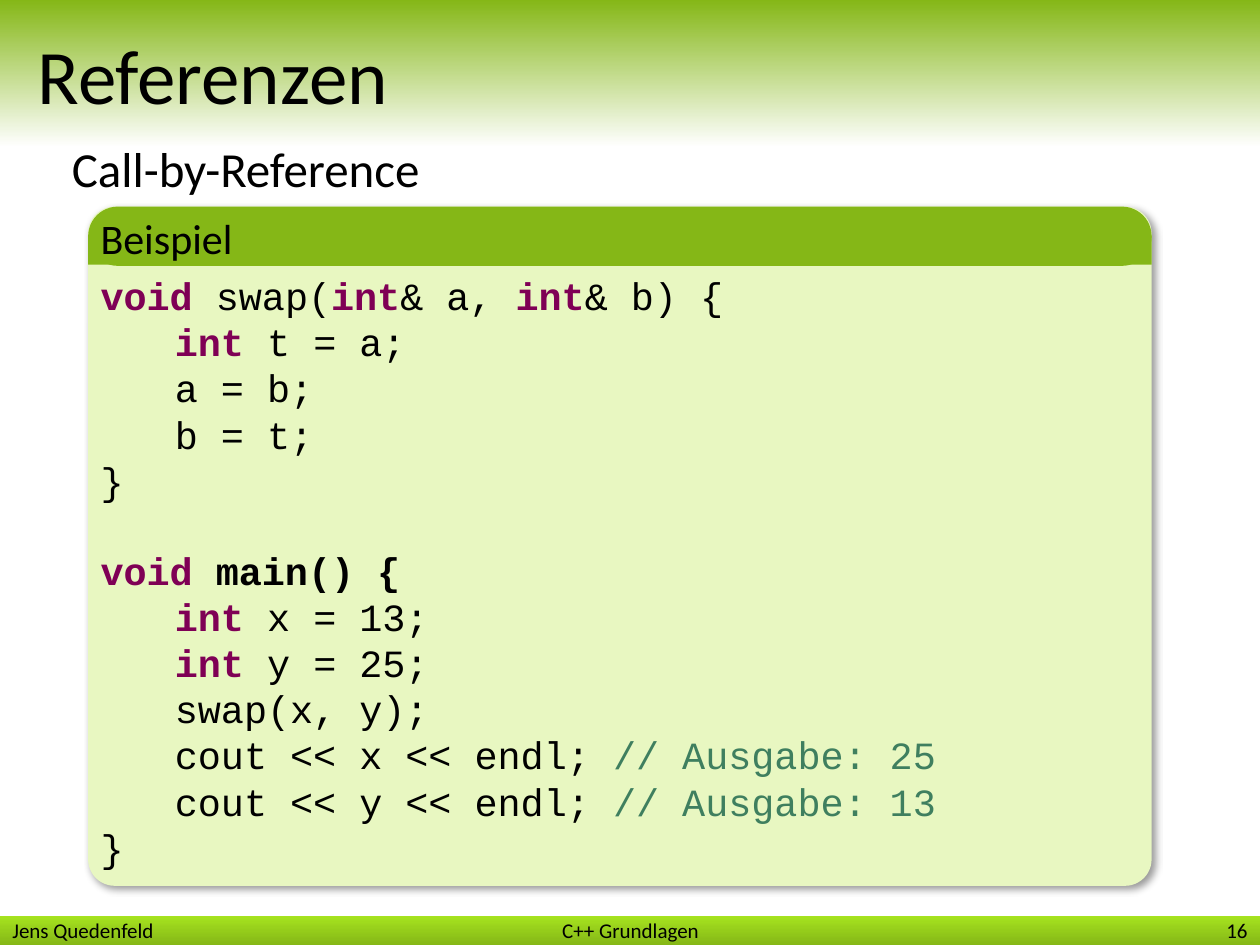
import pptx
import pptx.util
import pptx.dml.color
import pptx.enum.shapes
import pptx.enum.text
import pptx.oxml
import pptx.oxml.ns

Inches, Pt = pptx.util.Inches, pptx.util.Pt
SHAPE = pptx.enum.shapes.MSO_SHAPE
ALIGN = pptx.enum.text.PP_ALIGN
ANCHOR = pptx.enum.text.MSO_ANCHOR


class Theme:
    black, white = "000000", "FFFFFF"
    green, bright, pale = "85B717", "A6E31F", "E8F7C1"
    keyword, comment = "7F0055", "3F7F5F"
    font, mono = "Calibri", "Courier New"
    title, body, heading, code, footer = 44, 28, 24, 22, 12


# Span styles of the listing
PLAIN = {"color": Theme.black, "bold": False}
STRONG = {"color": Theme.black, "bold": True}
KEYWORD = {"color": Theme.keyword, "bold": True}
COMMENT = {"color": Theme.comment, "bold": False}

# Each line: indent level, space before in points, spans
CODE = [
    (0, 0, [("void", KEYWORD), (" swap(", PLAIN), ("int", KEYWORD), ("& a, ", PLAIN),
            ("int", KEYWORD), ("& b) {", PLAIN)]),
    (1, 0, [("int ", KEYWORD), ("t = a;", PLAIN)]),
    (1, 0, [("a = b;", PLAIN)]),
    (1, 0, [("b = t;", PLAIN)]),
    (0, 0, [("}", PLAIN)]),
    (0, 25, [("void ", KEYWORD), ("main() {", STRONG)]),
    (1, 0, [("int ", KEYWORD), ("x = 13;", PLAIN)]),
    (1, 0, [("int ", KEYWORD), ("y = 25;", PLAIN)]),
    (1, 0, [("swap(x, y);", PLAIN)]),
    (1, 0, [("cout << x << endl; ", PLAIN), ("// Ausgabe: 25", COMMENT)]),
    (1, 0, [("cout << y << endl; ", PLAIN), ("// Ausgabe: 13", COMMENT)]),
    (0, 0, [("}", PLAIN)]),
]


def rgb(value):
    return pptx.dml.color.RGBColor.from_string(value)


def apply(target, values):
    for name, value in values.items():
        setattr(target, name, value)


def place(box, left, top, width, height):
    apply(box, {"left": Inches(left), "top": Inches(top),
                "width": Inches(width), "height": Inches(height)})


def add_span(para, text, size, font=Theme.font, color=Theme.black, bold=False):
    span = para.add_run()
    span.text = text
    apply(span.font, {"name": font, "size": Pt(size), "bold": bold})
    span.font.color.rgb = rgb(color)


def set_indent(para, left, first=0):
    properties = para._p.get_or_add_pPr()
    properties.set("marL", str(Inches(left)))
    properties.set("indent", str(Inches(first)))
    return properties


def prepare_frame(box, anchor):
    frame = box.text_frame
    apply(frame, {"word_wrap": True, "vertical_anchor": anchor,
                  "auto_size": pptx.enum.text.MSO_AUTO_SIZE.NONE})
    return frame


def add_text(page, area, text, size, align=ALIGN.LEFT, anchor=ANCHOR.MIDDLE):
    box = page.shapes.add_textbox(*map(Inches, area))
    para = prepare_frame(box, anchor).paragraphs[0]
    para.alignment = align
    add_span(para, text, size)


def fill_placeholder(box, area, text, size, left, first=0):
    place(box, *area)
    para = prepare_frame(box, ANCHOR.MIDDLE).paragraphs[0]
    para.alignment = ALIGN.LEFT
    properties = set_indent(para, left, first)
    properties.append(pptx.oxml.parse_xml(
        f"<a:buNone {pptx.oxml.ns.nsdecls('a')}/>"))
    add_span(para, text, size)


def add_panel(page, kind, area, color, radius=None):
    panel = page.shapes.add_shape(kind, *map(Inches, area))
    panel.shadow.inherit = False
    panel.fill.solid()
    panel.fill.fore_color.rgb = rgb(color)
    panel.line.fill.background()
    if radius is not None:
        panel.adjustments[0] = radius
    return panel


def add_band(page, area, top_color, bottom_color):
    band = add_panel(page, SHAPE.RECTANGLE, area, top_color)
    band.fill.gradient()
    band.fill.gradient_angle = 270
    for stop, position, color in zip(band.fill.gradient_stops, (0, 1),
                                     (top_color, bottom_color)):
        stop.position = position
        stop.color.rgb = rgb(color)
    # Bands lie behind the title
    page.shapes.title.element.addprevious(band.element)


def add_shadow(panel):
    effects = panel.element.spPr.find(pptx.oxml.ns.qn("a:effectLst"))
    effects.append(pptx.oxml.parse_xml(
        f'<a:outerShdw {pptx.oxml.ns.nsdecls("a")} blurRad="{Pt(4)}" dist="{Pt(3)}" '
        'dir="2700000" algn="tl" rotWithShape="0">'
        f'<a:srgbClr val="{Theme.black}"><a:alpha val="40000"/></a:srgbClr></a:outerShdw>'))


def add_code(page, area, lines):
    box = page.shapes.add_textbox(*map(Inches, area))
    frame = prepare_frame(box, ANCHOR.TOP)
    for number, (level, gap, spans) in enumerate(lines):
        para = frame.add_paragraph() if number else frame.paragraphs[0]
        para.space_before = Pt(gap)
        set_indent(para, level * 0.59)
        for text, style in spans:
            add_span(para, text, Theme.code, Theme.mono, **style)


def main():
    deck = pptx.Presentation()
    apply(deck, {"slide_width": Inches(10), "slide_height": Inches(7.5)})
    page = deck.slides.add_slide(deck.slide_layouts[1])

    # Header and footer bands
    add_band(page, (0, 7.27, 10, 0.23), Theme.bright, Theme.green)
    add_band(page, (0, 0, 10, 1.17), Theme.green, Theme.white)
    for left, width, text, align in [
        (2.27, 5.47, "C++ Grundlagen", ALIGN.CENTER),
        (0, 3.44, "Jens Quedenfeld", ALIGN.LEFT),
        (8.67, 1.33, "16", ALIGN.RIGHT),
    ]:
        add_text(page, (left, 7.27, width, 0.23), text, Theme.footer, align)

    # Title and subtitle
    fill_placeholder(page.shapes.title, (0, 0, 9.53, 1.17), "Referenzen",
                     Theme.title, 0.2)
    fill_placeholder(page.placeholders[1], (0.47, 1.02, 8.91, 0.63),
                     "Call-by-Reference", Theme.body, 0.38, -0.38)

    # Example card
    left, top, width = 0.7, 1.64, 8.44
    card = add_panel(page, SHAPE.ROUNDED_RECTANGLE, (left, top, width, 5.39),
                     Theme.pale, 0.039)
    add_shadow(card)
    add_panel(page, SHAPE.RECTANGLE, (left, 1.87, width, 0.23), Theme.green)
    add_panel(page, SHAPE.ROUNDED_RECTANGLE, (left, top, width, 0.47), Theme.green, 0.5)
    add_text(page, (left, top, width, 0.5), "Beispiel", Theme.heading, anchor=ANCHOR.TOP)
    add_code(page, (left, 2.11, width, 4.91), CODE)

    deck.save("out.pptx")


if __name__ == "__main__":
    main()
